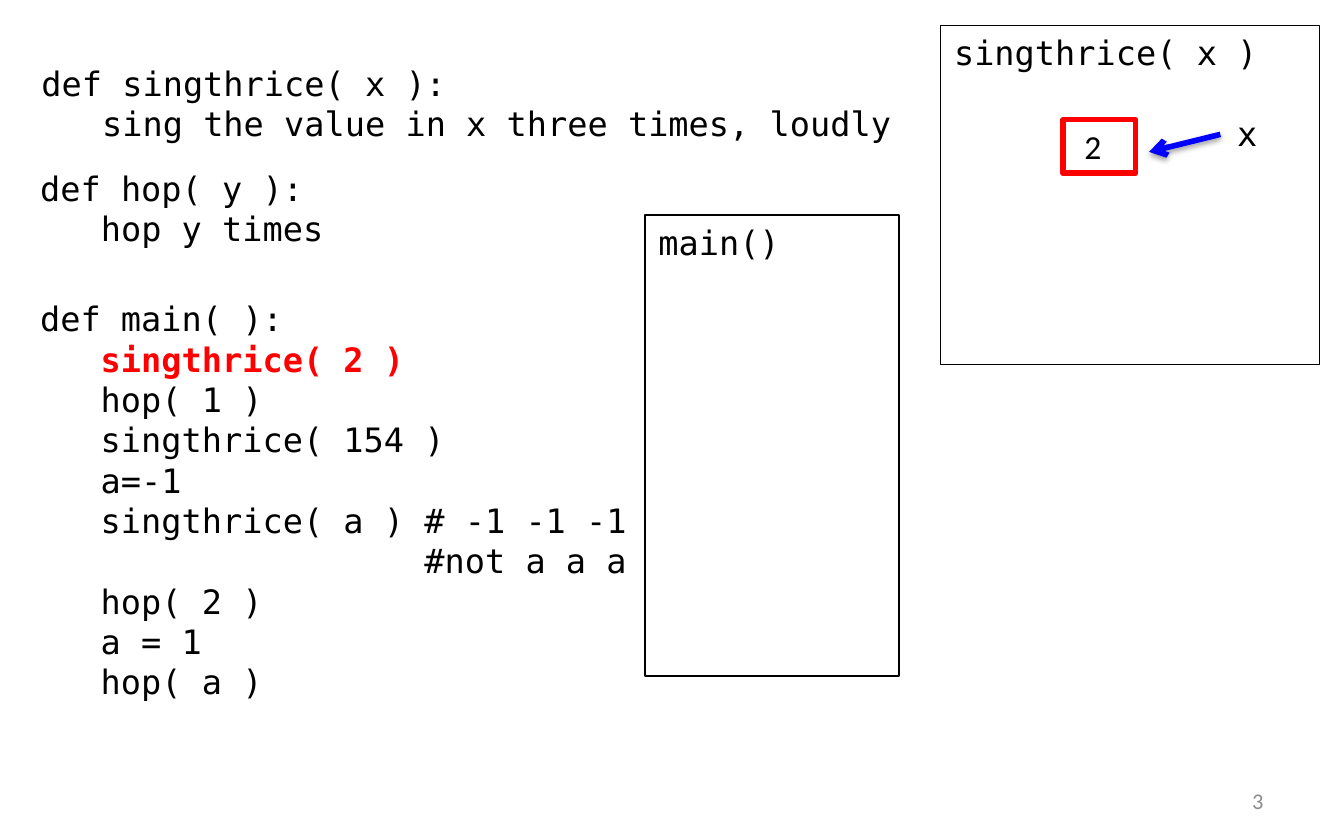
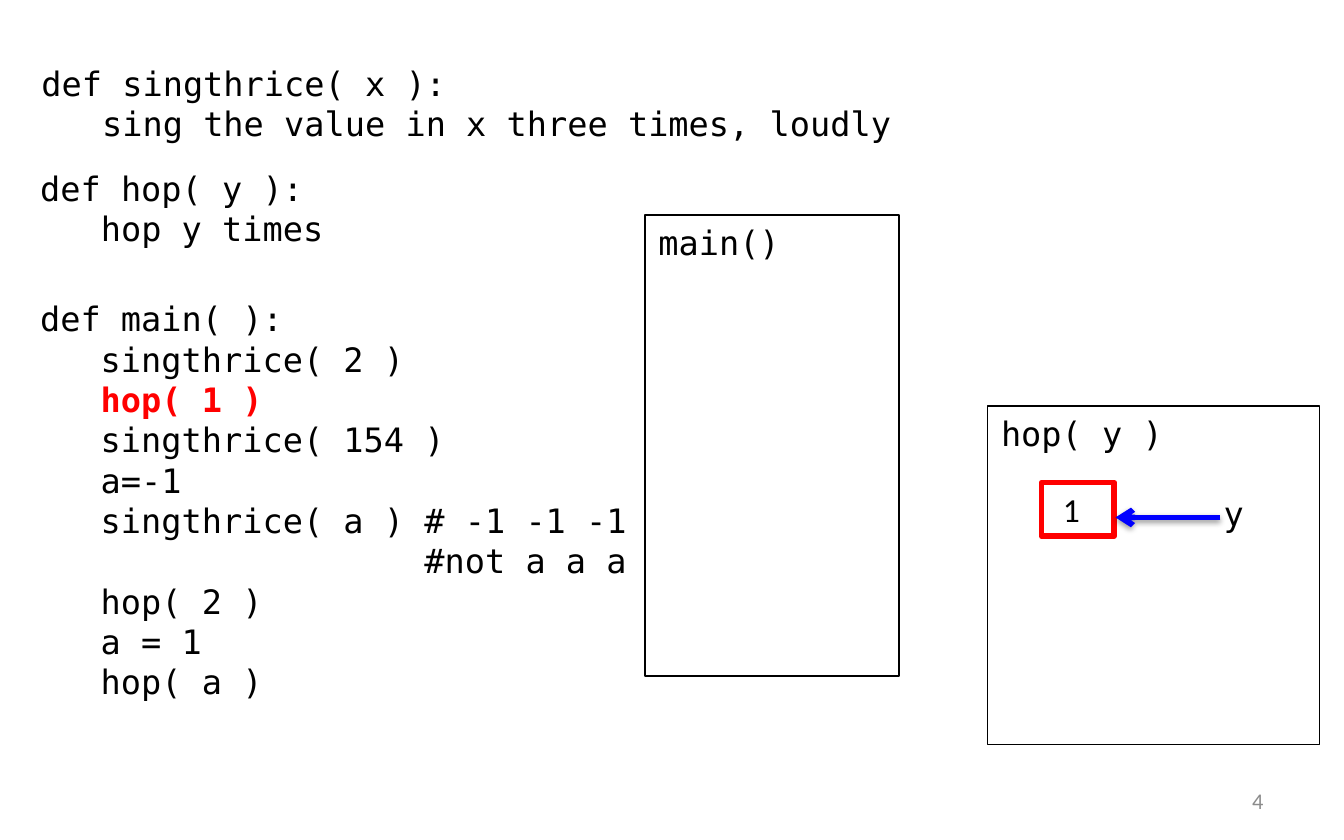
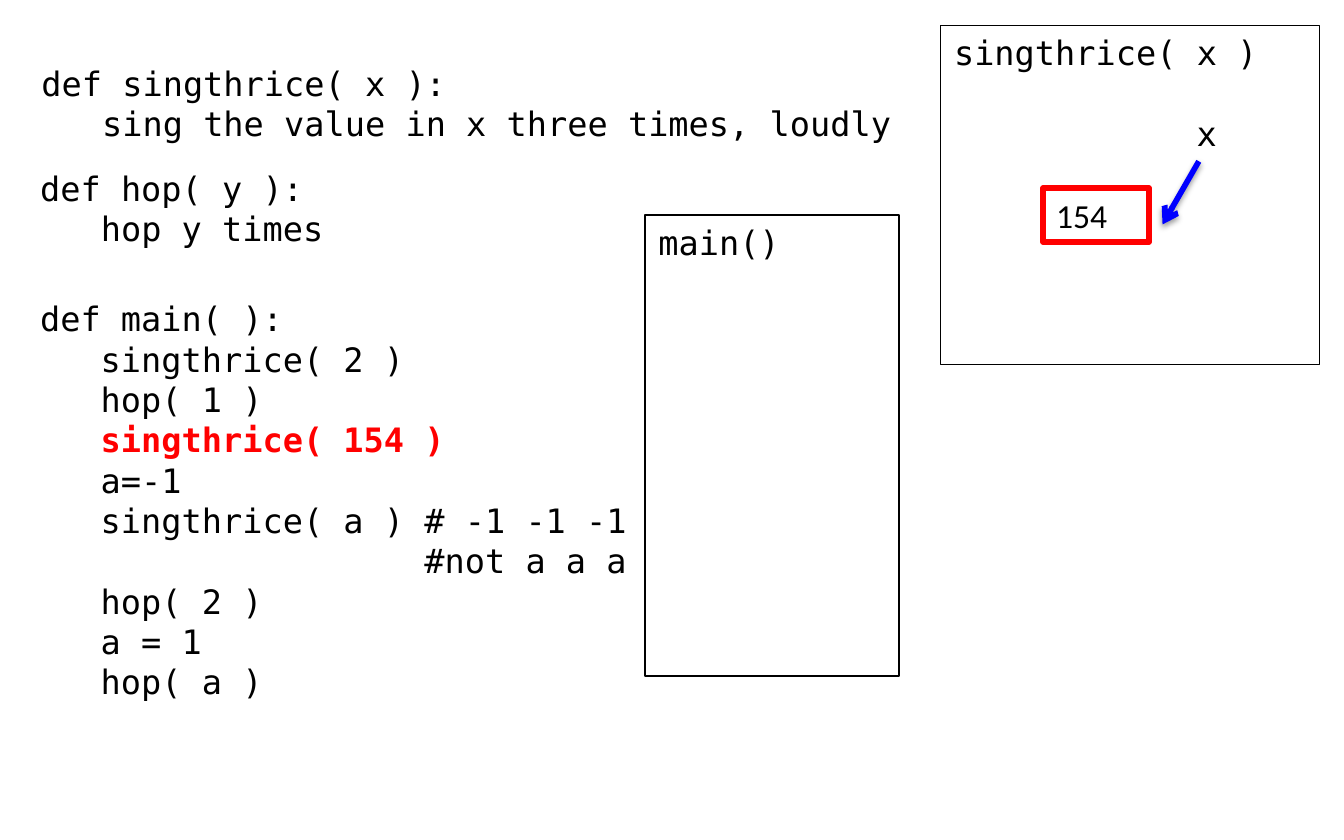
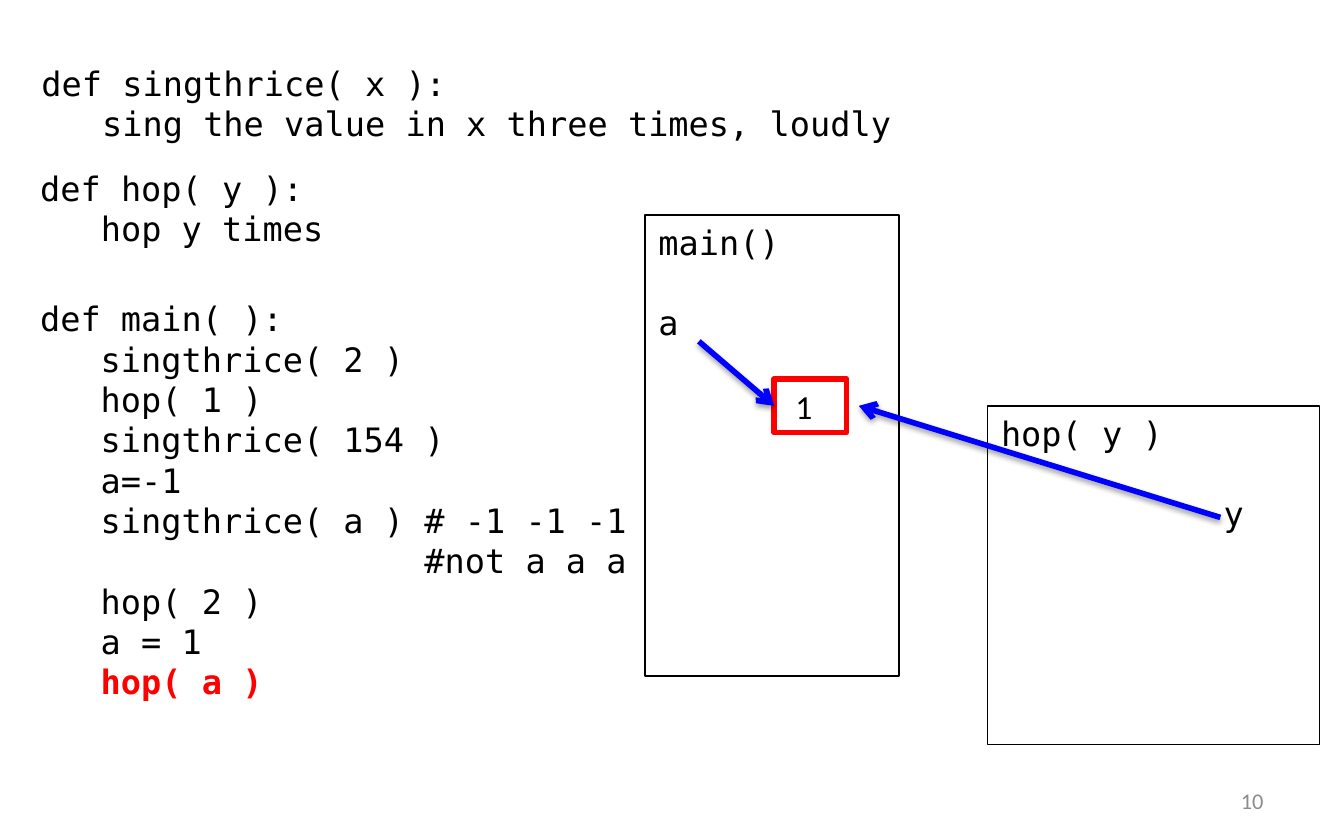
from lxml import etree
from pptx import Presentation
from pptx.dml.color import RGBColor
from pptx.enum.shapes import MSO_CONNECTOR, MSO_SHAPE
from pptx.enum.text import MSO_ANCHOR, PP_ALIGN
from pptx.oxml.ns import qn
from pptx.util import Inches, Pt

RECTANGLE = MSO_SHAPE.RECTANGLE
STRAIGHT = MSO_CONNECTOR.STRAIGHT
TOP, MIDDLE = MSO_ANCHOR.TOP, MSO_ANCHOR.MIDDLE
LEFT, RIGHT = PP_ALIGN.LEFT, PP_ALIGN.RIGHT

BLACK, RED, BLUE, GREY = "000000", "FF0000", "0000FF", "8C8C8C"
CODE_FONT, BODY_FONT = "DejaVu Sans Mono", "Calibri"
CODE_CHARACTER = 0.1505  # width of one code character, inches
BLANK_LINE = Pt(21.5)

# Boxes: left, top, width, height
SING_CODE_BOX = (0.21, 0.42, 6.61, 0.71)
HOP_CODE_BOX = (0.2, 1.2, 4.42, 0.71)
MAIN_CODE_BOX = (0.2, 2.17, 4.6, 3.13)
MAIN_FRAME = (4.8, 1.6, 1.89, 3.43)
SING_FRAME = (7, 0.19, 2.82, 2.52)
HOP_FRAME = (7.35, 3.02, 2.47, 2.52)
NUMBER_BOX = (7.17, 5.79, 2.33, 0.33)

# Code: (indent in characters, text)
SING_CODE = [(0, "def singthrice( x ):"), (3, "sing the value in x three times, loudly")]
HOP_CODE = [(0, "def hop( y ):"), (3, "hop y times")]
MAIN_CODE = [
    (0, "def main( ):"),
    (3, "singthrice( 2 )"),
    (3, "hop( 1 )"),
    (3, "singthrice( 154 )"),
    (3, "a=-1"),
    (3, "singthrice( a ) # -1 -1 -1"),
    (19, "#not a a a"),
    (3, "hop( 2 )"),
    (3, "a = 1"),
    (3, "hop( a )"),
]

# What differs: page number, current call, variable in main, called frames
# (box, title, variable indent, variable), value (box, indent, text), arrows
STEPS = [
    dict(number="3", current="singthrice( 2 )", main_variable=None,
         called=(SING_FRAME, "singthrice( x )", 14, "x"),
         value=((7.91, 0.89, 0.54, 0.4), 0.06, "2"),
         arrows=[(9.08, 1, 8.55, 1.13)]),
    dict(number="4", current="hop( 1 )", main_variable=None,
         called=(HOP_FRAME, "hop( y )", 11, "y"),
         value=((7.75, 3.59, 0.54, 0.4), 0.06, "1"),
         arrows=[(9.08, 3.85, 8.3, 3.85)]),
    dict(number=None, current="singthrice( 154 )", main_variable=None,
         called=(SING_FRAME, "singthrice( x )", 12, "x"),
         value=((7.76, 1.4, 0.79, 0.4), 0, "154"),
         arrows=[(8.92, 1.2, 8.65, 1.67)]),
    dict(number="10", current="hop( a )", main_variable="a",
         called=(HOP_FRAME, "hop( y )", 11, "y"),
         value=((5.76, 2.82, 0.54, 0.4), 0.06, "1"),
         arrows=[(5.2, 2.54, 5.76, 3.02), (9.08, 3.85, 6.39, 3.02)]),
]


def color(value):
    return RGBColor.from_string(value)


def inches(lengths):
    return [Inches(length) for length in lengths]


def add_line(text_frame, index, text, font=CODE_FONT, size=18, fill=BLACK,
             indent=0.0, align=LEFT):
    """Write one paragraph, indented by a length in inches."""
    paragraph = text_frame.add_paragraph() if index else text_frame.paragraphs[0]
    paragraph.text = text
    paragraph.alignment = align
    paragraph.font.name = font
    paragraph.font.size = Pt(size)
    paragraph.font.color.rgb = color(fill)
    if indent:
        paragraph._p.get_or_add_pPr().set("marL", str(Inches(indent)))
    return paragraph


def add_text_area(slide, box):
    text_frame = slide.shapes.add_textbox(*inches(box)).text_frame
    text_frame.word_wrap = True
    return text_frame


def add_outline(slide, box, line_color, line_width):
    """Unfilled rectangle; returns its text frame."""
    shape = slide.shapes.add_shape(RECTANGLE, *inches(box))
    shape.shadow.inherit = False
    shape.fill.background()
    shape.line.color.rgb = color(line_color)
    shape.line.width = Pt(line_width)
    shape.text_frame.word_wrap = True
    shape.text_frame.vertical_anchor = TOP
    return shape.text_frame


def add_code(slide, box, lines, current=None):
    text_frame = add_text_area(slide, box)
    for index, (indent, text) in enumerate(lines):
        active = text == current
        paragraph = add_line(text_frame, index, text, fill=RED if active else BLACK,
                             indent=indent * CODE_CHARACTER)
        paragraph.font.bold = active


def add_call_frame(slide, box, title, indent=0, variable=None):
    text_frame = add_outline(slide, box, BLACK, 0.75)
    add_line(text_frame, 0, title)
    if variable:
        paragraph = add_line(text_frame, 1, variable, indent=indent * CODE_CHARACTER)
        paragraph.space_before = BLANK_LINE


def add_value(slide, box, indent, text):
    text_frame = add_outline(slide, box, RED, 3)
    add_line(text_frame, 0, text, font=BODY_FONT, indent=indent)


def add_arrow(slide, ends):
    connector = slide.shapes.add_connector(STRAIGHT, *inches(ends))
    connector.line.color.rgb = color(BLUE)
    connector.line.width = Pt(3)
    etree.SubElement(connector.line._get_or_add_ln(), qn("a:tailEnd"), type="arrow")
    # Soft shadow straight below
    effects = etree.SubElement(connector._element.spPr, qn("a:effectLst"))
    shadow = etree.SubElement(effects, qn("a:outerShdw"), blurRad=str(Pt(3.1)),
                              dist=str(Pt(1.6)), dir="5400000", rotWithShape="0")
    shade = etree.SubElement(shadow, qn("a:srgbClr"), val=BLACK)
    etree.SubElement(shade, qn("a:alpha"), val="38000")


def add_page_number(slide, box, number):
    text_frame = add_text_area(slide, box)
    text_frame.vertical_anchor = MIDDLE
    add_line(text_frame, 0, number, font=BODY_FONT, size=12, fill=GREY, align=RIGHT)


def add_step_slide(presentation, step):
    slide = presentation.slides.add_slide(presentation.slide_layouts[6])
    if step["number"]:
        add_page_number(slide, NUMBER_BOX, step["number"])
    # Program on the left
    add_code(slide, SING_CODE_BOX, SING_CODE)
    add_code(slide, HOP_CODE_BOX, HOP_CODE)
    add_code(slide, MAIN_CODE_BOX, MAIN_CODE, step["current"])
    # Call frames, value and the arrows that point to it
    add_call_frame(slide, MAIN_FRAME, "main()", variable=step["main_variable"])
    add_call_frame(slide, *step["called"])
    add_value(slide, *step["value"])
    for ends in step["arrows"]:
        add_arrow(slide, ends)


presentation = Presentation()
presentation.slide_width = Inches(10)
presentation.slide_height = Inches(6.25)
for step in STEPS:
    add_step_slide(presentation, step)
presentation.save("out.pptx")
